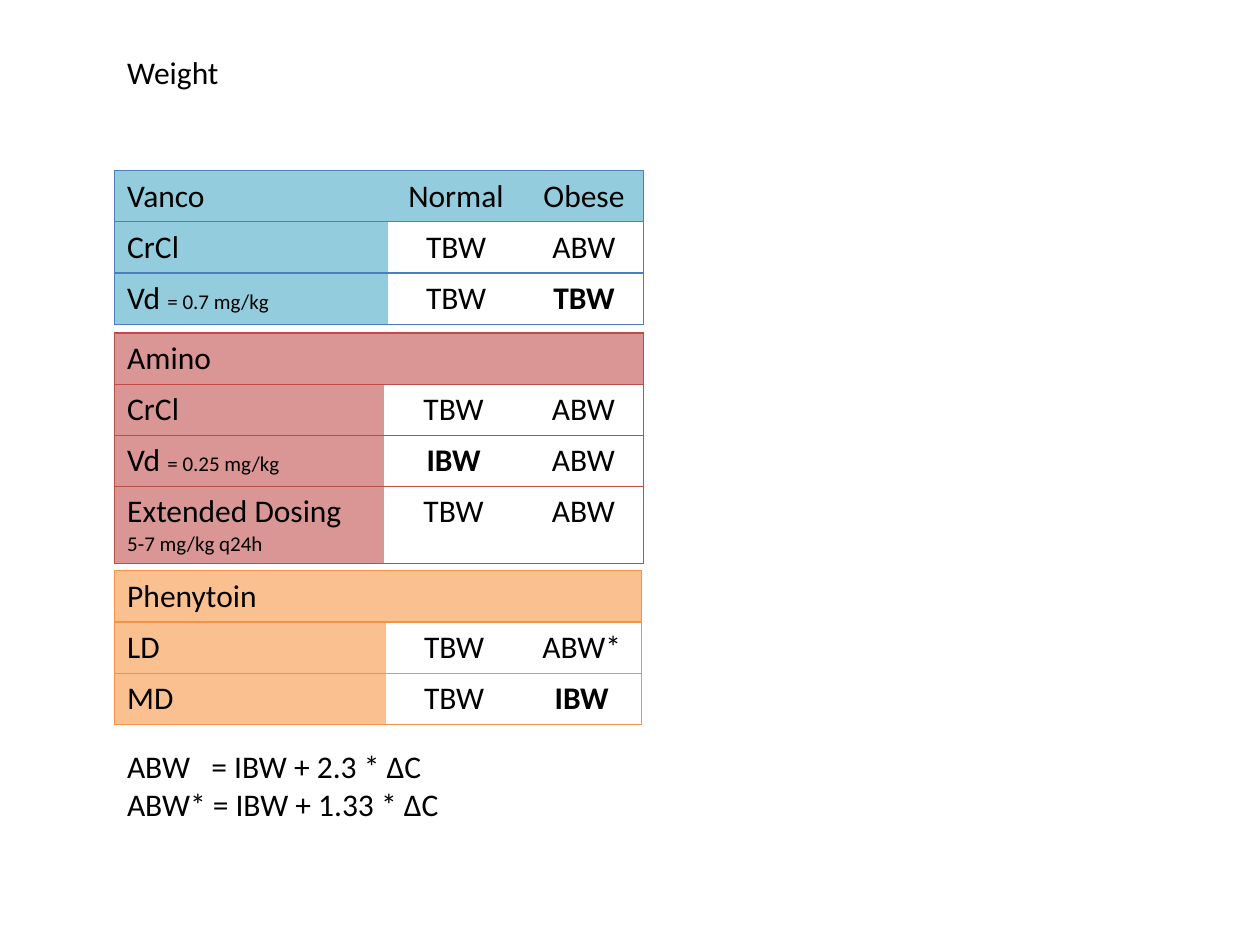
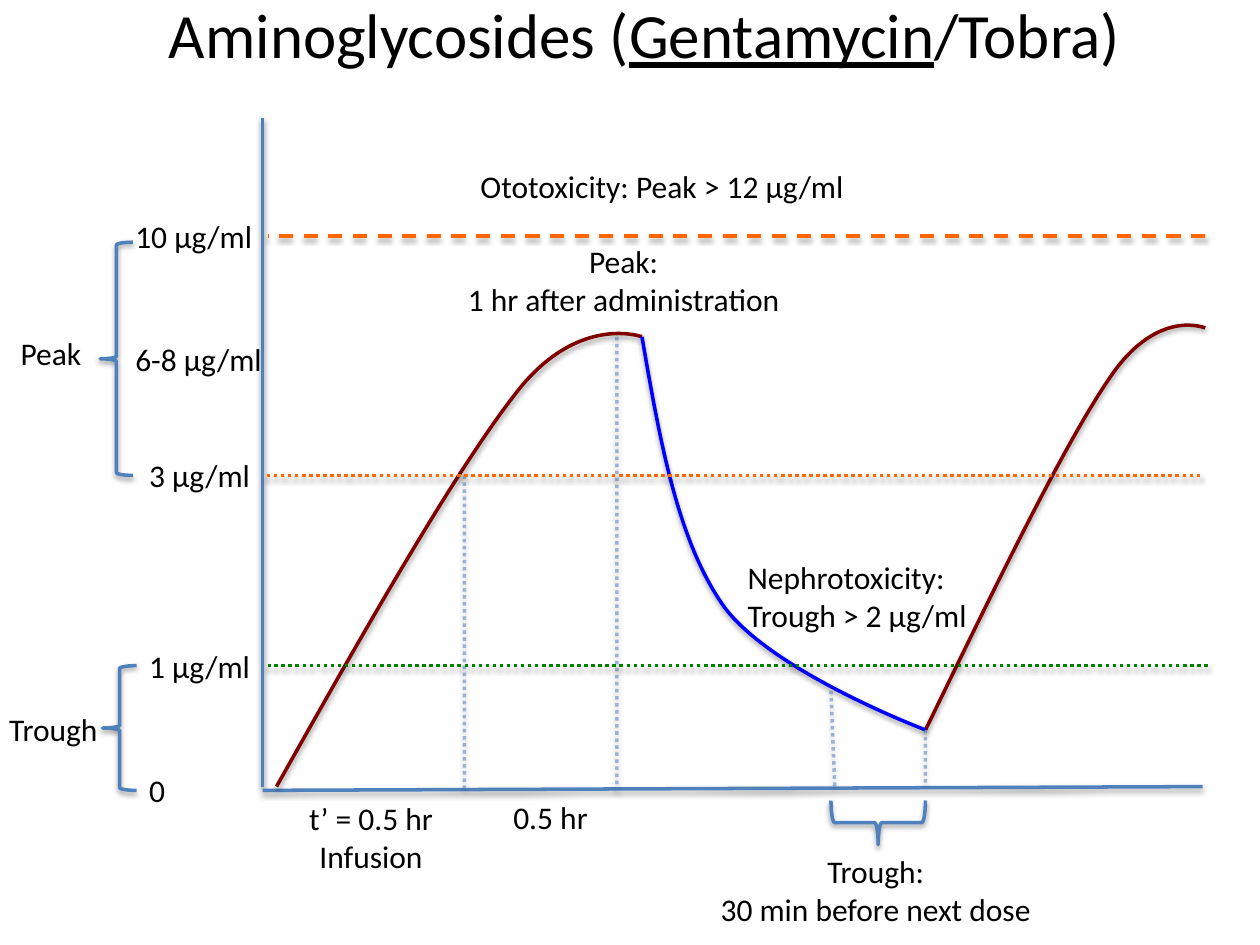
from dataclasses import dataclass

from lxml.etree import Element, SubElement
from pptx import Presentation
from pptx.dml.color import RGBColor
from pptx.enum.dml import MSO_LINE
from pptx.enum.shapes import MSO_CONNECTOR, MSO_SHAPE
from pptx.enum.text import MSO_ANCHOR, MSO_AUTO_SIZE, PP_ALIGN
from pptx.oxml import parse_xml
from pptx.oxml.ns import nsdecls, qn
from pptx.util import Inches, Pt

# Grid: 100 columns by 75 rows of square cells
SLIDE_WIDTH, SLIDE_HEIGHT = Inches(10), Inches(7.5)
CELL = SLIDE_WIDTH // 100

FONT, INK = "Calibri", "000000"
BLUE, MAROON, FALL_BLUE = "4F81BD", "800000", "0000FF"
ORANGE, GREEN = "FF6600", "008000"
BODY = {"size": Pt(18)}
SMALL = {"size": Pt(12)}
BOLD = {"bold": True}
LEFT, CENTER = PP_ALIGN.LEFT, PP_ALIGN.CENTER


@dataclass
class Box:
    """A region of the slide, in grid cells."""
    left: float
    top: float
    width: float
    height: float

    def inside(self, column, row, width, height):
        return Box(self.left + column, self.top + row, width, height)

    def point(self, column, row):
        return to_emu(self.left + column), to_emu(self.top + row)

    def frame(self):
        return [to_emu(value) for value in (self.left, self.top, self.width, self.height)]


def to_emu(cells):
    return round(cells * CELL)


def colour(hex_value):
    return RGBColor.from_string(hex_value)


def set_all(target, values):
    for name, value in values.items():
        setattr(target, name, value)


# ---- Shared text and line helpers ----

def write(text_frame, paragraphs, align=LEFT, base=BODY):
    """Each paragraph is a string or a list of (text, format) runs."""
    for index, runs in enumerate(paragraphs):
        paragraph = text_frame.paragraphs[0] if index == 0 else text_frame.add_paragraph()
        paragraph.alignment = align
        for text, extra in [(runs, {})] if isinstance(runs, str) else runs:
            run = paragraph.add_run()
            run.text = text
            set_all(run.font, {"name": FONT, **base, **extra})
            run.font.color.rgb = colour(INK)


def add_text(slide, box, paragraphs, align=LEFT):
    text_frame = slide.shapes.add_textbox(*box.frame()).text_frame
    set_all(text_frame, {"word_wrap": False, "auto_size": MSO_AUTO_SIZE.SHAPE_TO_FIT_TEXT})
    write(text_frame, paragraphs, align)
    return text_frame


def add_title(slide, box, runs, align, size, anchor):
    title = slide.shapes.title
    set_all(title, dict(zip(("left", "top", "width", "height"), box.frame())))
    set_all(title.text_frame, {"auto_size": MSO_AUTO_SIZE.NONE, "vertical_anchor": anchor,
                               "word_wrap": False})
    write(title.text_frame, [runs], align, {"size": Pt(size)})


def style_stroke(shape, hex_value, dash=None, opacity=None):
    """Two-point line with a soft shadow straight below."""
    shape.line.color.rgb = colour(hex_value)
    shape.line.width = Pt(2)
    if dash:
        shape.line.dash_style = dash
    properties = shape.element.spPr
    if opacity:
        line_colour = properties.find(qn("a:ln")).find(".//" + qn("a:srgbClr"))
        SubElement(line_colour, qn("a:alpha"), val=str(opacity * 1000))
    for old_effects in properties.findall(qn("a:effectLst")):
        properties.remove(old_effects)
    properties.append(parse_xml(
        f'<a:effectLst {nsdecls("a")}><a:outerShdw blurRad="{Pt(3.1)}" dist="{Pt(1.6)}" '
        'dir="5400000" rotWithShape="0"><a:srgbClr val="000000"><a:alpha val="38000"/>'
        '</a:srgbClr></a:outerShdw></a:effectLst>'))


def add_line(slide, box, start, end, hex_value, dash=None, opacity=None):
    line = slide.shapes.add_connector(MSO_CONNECTOR.STRAIGHT, *box.point(*start), *box.point(*end))
    style_stroke(line, hex_value, dash, opacity)


def add_brace(slide, box, rotation=0):
    brace = slide.shapes.add_shape(MSO_SHAPE.LEFT_BRACE, *box.frame())
    brace.rotation = rotation
    brace.fill.background()
    style_stroke(brace, BLUE)


def add_curve(slide, box, points, hex_value):
    """Smooth outline: a start, then two handles and an anchor per segment."""
    spots = [box.point(*point) for point in points]
    builder = slide.shapes.build_freeform(*spots[0])
    builder.add_line_segments(spots[3::3], close=False)
    curve = builder.convert_to_shape()
    # Bend each straight segment into a cubic one
    segments = list(curve.element.spPr.iter(qn("a:lnTo")))
    for index, segment in enumerate(segments):
        bend = Element(qn("a:cubicBezTo"))
        for x, y in spots[3 * index + 1:3 * index + 4]:
            SubElement(bend, qn("a:pt"), x=str(x - curve.left), y=str(y - curve.top))
        segment.getparent().replace(segment, bend)
    curve.fill.background()
    style_stroke(curve, hex_value)


# ---- Weight slide ----

ROW, TALL_ROW, TABLE_GAP = 4.06, 6, 0.7
# Fill, border, column widths, rows of cells
DRUG_TABLES = [
    ("93CDDD", "4B7EBC", (21.7, 10.8, 9.5), [
        ("Vanco", "Normal", "Obese"),
        ("CrCl", "TBW", "ABW"),
        ([("Vd ", {}), ("= 0.7 mg/kg", SMALL)], "TBW", [("TBW", BOLD)])]),
    ("D99694", "BF4C48", (21.4, 11, 9.6), [
        ("Amino", "", ""),
        ("CrCl", "TBW", "ABW"),
        ([("Vd ", {}), ("= 0.25 mg/kg", SMALL)], [("IBW", BOLD)], "ABW"),
        (("Extended Dosing", [("5-7 mg/kg q24h", SMALL)]), "TBW", "ABW")]),
    ("FAC090", "F69240", (21.55, 10.8, 9.45), [
        ("Phenytoin", "", ""),
        ("LD", "TBW", "ABW*"),
        ("MD", "TBW", [("IBW", BOLD)])]),
]


def set_borders(cell, hex_value, sides):
    """Rule the given sides of a cell and clear the others."""
    for index, side in enumerate("LRTB"):
        paint = (f'<a:solidFill><a:srgbClr val="{hex_value}"/></a:solidFill>'
                 if side in sides else "<a:noFill/>")
        cell._tc.get_or_add_tcPr().insert(index, parse_xml(
            f'<a:ln{side} {nsdecls("a")} w="{Pt(0.75)}">{paint}</a:ln{side}>'))


def row_height(contents):
    return TALL_ROW if isinstance(contents[0], tuple) else ROW


def add_drug_table(slide, box, fill, border, widths, rows):
    table = slide.shapes.add_table(len(rows), len(widths), *box.frame()).table
    set_all(table, {"first_row": False, "horz_banding": False})
    for column, width in zip(table.columns, widths):
        column.width = to_emu(width)
    for row_index, contents in enumerate(rows):
        table.rows[row_index].height = to_emu(row_height(contents))
        for column_index, content in enumerate(contents):
            cell = table.cell(row_index, column_index)
            if row_index == 0 or column_index == 0:
                cell.fill.solid()
                cell.fill.fore_color.rgb = colour(fill)
            else:
                cell.fill.background()
            set_borders(cell, border, "TB" + {0: "L", len(widths) - 1: "R"}.get(column_index, ""))
            if content:
                write(cell.text_frame, content if isinstance(content, tuple) else [content],
                      CENTER if column_index else LEFT)


def build_weight_slide(slide, box):
    add_title(slide, box.inside(0, 0, 9.5, 4), "Weight", LEFT, 18, MSO_ANCHOR.TOP)
    # Stacked drug tables
    top = 9.85
    for fill, border, widths, rows in DRUG_TABLES:
        height = sum(map(row_height, rows))
        add_drug_table(slide, box.inside(0, top, sum(widths), height), fill, border, widths, rows)
        top += height + TABLE_GAP
    # Adjusted weight formulas, aligned on the equals sign
    formulas = add_text(slide, box.inside(0, 55.1, 27.1, 7.1),
                        ["ABW\t= IBW + 2.3 * ΔC", "ABW* = IBW + 1.33 * ΔC"])
    tabs = SubElement(formulas.paragraphs[0]._p.get_or_add_pPr(), qn("a:tabLst"))
    SubElement(tabs, qn("a:tab"), pos=str(to_emu(6.7)), algn="l")


# ---- Aminoglycoside slide: all places relative to the plot ----

# Label, label column, label width, row
LEVELS = [("10 µg/ml", -11.1, 11.5, 9.4), ("6-8 µg/ml", -11.1, 12.1, 19.2),
          ("3 µg/ml", -10, 10, 28.4), ("1 µg/ml", -10, 10.2, 43.5), ("0", -10, 3.3, 53.4)]
# Right end, left end, row, colour, dash
LIMITS = [(74.8, 0.4, 9.4, ORANGE, MSO_LINE.DASH),
          (74.4, 0.2, 28.4, ORANGE, MSO_LINE.ROUND_DOT),
          (75, 0.4, 43.5, GREEN, MSO_LINE.ROUND_DOT)]
PEAK_END, TROUGH = (30.1, 17.4), (52.6, 48.6)
CURVES = [
    ([(1.1, 53.1), (8.3, 40.3), (15.6, 27.5), (20.4, 21.5), (25.2, 15.6), PEAK_END, PEAK_END],
     MAROON),
    ([TROUGH, (58.2, 37.1), (63.7, 25.7), (67.4, 20.4), (71.1, 15.1), (74.8, 16.7), (74.8, 16.7)],
     MAROON),
    ([PEAK_END, (31.5, 25.5), (32.9, 33.6), (36.6, 38.8), (40.4, 44), TROUGH, TROUGH],
     FALL_BLUE),
]
DROP_LINES = [((16, 28.4), (16, 53.4)), ((28.1, 17.4), (28.1, 53.4)),
              ((45.1, 45.5), (45.4, 53.1)), (TROUGH, (52.6, 53.1))]
# Place, rotation
BRACES = [((-12.9, 9.9, 2.6, 18.5), 0), ((-12.7, 43.5, 2.7, 9.9), 0), ((47.1, 52.2, 3.5, 7.5), 270)]
# Place, alignment, paragraphs
NOTES = [
    ((2.6, 53.6, 12, 7.1), CENTER, ["t’ = 0.5 hr", "Infusion"]),
    ((18.9, 53.5, 8.1, 4), LEFT, ["0.5 hr"]),
    ((14.8, 9.4, 27.7, 7.1), CENTER, ["Peak:", "1 hr after administration"]),
    ((34.9, 57.8, 27.5, 7.1), CENTER, ["Trough:", "30 min before next dose"]),
    ((-20.2, 16.7, 6.9, 4), LEFT, ["Peak"]),
    ((-21.1, 46.5, 9.3, 4), LEFT, ["Trough"]),
    ((16.3, 3.4, 31.2, 4), LEFT, ["Ototoxicity: Peak > 12 µg/ml"]),
    ((37.5, 34.5, 19.7, 7.1), LEFT, ["Nephrotoxicity:", "Trough > 2 µg/ml"]),
]


def add_concentration_plot(slide, plot):
    # Axes
    add_line(slide, plot, (0, 0), (0, 53.1), BLUE)
    add_line(slide, plot, (plot.width, 53.1), (0, plot.height), BLUE)
    # Concentration curves and their drop lines
    for points, hex_value in CURVES:
        add_curve(slide, plot, points, hex_value)
    for start, end in DROP_LINES:
        add_line(slide, plot, start, end, BLUE, MSO_LINE.ROUND_DOT, opacity=54)
    # Limits, level labels and braces
    for right, left, row, hex_value, dash in LIMITS:
        add_line(slide, plot, (right, row), (left, row), hex_value, dash)
    for label, column, width, row in LEVELS:
        add_text(slide, plot.inside(column, row - 2, width, 4), [label])
    for place, rotation in BRACES:
        add_brace(slide, plot.inside(*place), rotation)
    # Notes
    for place, align, paragraphs in NOTES:
        add_text(slide, plot.inside(*place), paragraphs, align)


def build_aminoglycoside_slide(slide, box):
    add_title(slide, box.inside(8.4, -0.45, 85.5, 6.2),
              [("Aminoglycosides (", {}), ("Gentamycin", {"underline": True}), ("/Tobra)", {})],
              CENTER, 36, MSO_ANCHOR.MIDDLE)
    add_concentration_plot(slide, box.inside(20.85, 9.33, 74.6, 53.4))


def main():
    presentation = Presentation()
    set_all(presentation, {"slide_width": SLIDE_WIDTH, "slide_height": SLIDE_HEIGHT})
    title_only = presentation.slide_layouts[5]
    for build, box in [(build_weight_slide, Box(9.1, 3.7, 42, 62.2)),
                       (build_aminoglycoside_slide, Box(0, 0, 100, 75))]:
        build(presentation.slides.add_slide(title_only), box)
    presentation.save("out.pptx")


if __name__ == "__main__":
    main()
